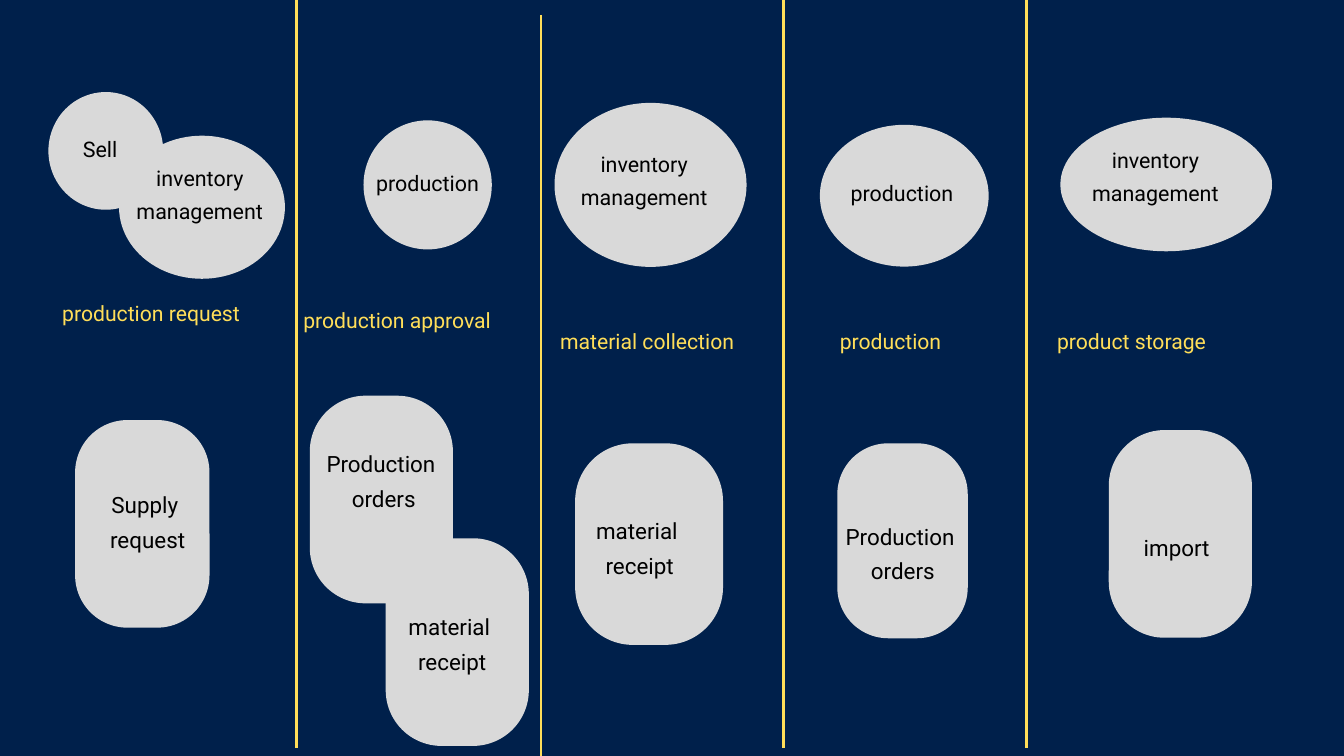
from pptx import Presentation
from pptx import util as u
from pptx.dml.color import RGBColor
from pptx.enum import shapes, text
from pptx.oxml.ns import qn
from lxml import etree

Cm, Pt = u.Cm, u.Pt
NAVY = RGBColor(0x00, 0x20, 0x4B)
GREY = RGBColor(0xD9, 0xD9, 0xD9)
BLACK = RGBColor(0, 0, 0)
GOLD = RGBColor(0xFF, 0xDE, 0x59)
OVAL = shapes.MSO_SHAPE.OVAL
ROUND = shapes.MSO_SHAPE.ROUNDED_RECTANGLE

deck = Presentation()
deck.slide_width, deck.slide_height = Cm(50.8), Cm(28.58)
slide = deck.slides.add_slide(deck.slide_layouts[6])
slide.background.fill.solid()
slide.background.fill.fore_color.rgb = NAVY


def write(words, box, size, lead, color, inset, anchor):
    frame = slide.shapes.add_textbox(*map(Cm, box)).text_frame
    frame.word_wrap = True
    frame.vertical_anchor = anchor
    frame.margin_left = frame.margin_right = Cm(inset)
    frame.margin_top = frame.margin_bottom = Cm(inset)
    frame.text = words
    for para in frame.paragraphs:
        para.alignment = text.PP_ALIGN.CENTER
        para.line_spacing = Pt(lead)
        for run in para.runs:
            run.font.name = "Roboto"
            run.font.size = Pt(size)
            run.font.color.rgb = color


def node(kind, body, words, box):
    shape = slide.shapes.add_shape(kind, *map(Cm, body))
    shape.shadow.inherit = False
    shape.fill.solid()
    shape.fill.fore_color.rgb = GREY
    shape.line.fill.background()
    if kind == ROUND:
        shape.adjustments[0] = 0.39
    size, lead = (23, 35.4) if kind == OVAL else (24, 37)
    write(words, box, size, lead, BLACK, 0.15, text.MSO_ANCHOR.MIDDLE)


# Column dividers
for x, top in ((11.2, 0), (20.45, 0.56), (29.62, 0), (38.81, 0)):
    rule = slide.shapes.add_connector(
        shapes.MSO_CONNECTOR.STRAIGHT, Cm(x), Cm(top), Cm(x), Cm(top + 28.27))
    rule.line.color.rgb = GOLD
    rule.line.width = Pt(3)
    etree.SubElement(rule._element.spPr, qn("a:effectLst"))

# Departments: outline, words, text area
for body, words, box in (
    ((1.83, 3.48, 4.34, 4.45), "Sell", (1.37, 3.48, 4.83, 4.04)),
    ((4.5, 5.13, 6.27, 5.41), "inventory management", (4.52, 4.78, 6.07, 4.9)),
    ((13.74, 4.55, 4.85, 4.88), "production", (13.23, 4.55, 5.87, 4.42)),
    ((20.96, 3.89, 7.26, 6.2), "inventory management", (21.39, 3.89, 5.92, 5.61)),
    ((30.99, 4.72, 6.38, 5.36), "production", (30.3, 4.72, 7.59, 4.85)),
    ((40.08, 4.45, 8, 5.05), "inventory management", (40.41, 4.22, 6.53, 4.6)),
):
    node(OVAL, body, words, box)

# Stage names
for words, x, y in (
    ("production request", 1.9, 11.07),
    ("production approval", 11.2, 11.35),
    ("material collection", 20.65, 12.14),
    ("production", 29.85, 12.14),
    ("product storage", 38.96, 12.14),
):
    write(words, (x, y, 7.62, 1.17), 22.7, 35, GOLD, 0, text.MSO_ANCHOR.TOP)

# Documents: outline, words, text area
for body, words, box in (
    ((2.84, 15.88, 5.08, 7.85), "Supply\n request", (1.5, 14.96, 7.95, 9.27)),
    ((11.71, 14.96, 5.41, 7.85), "Production\n orders", (10.16, 13.41, 8.48, 9.27)),
    ((14.58, 20.35, 5.41, 7.85), "material \nreceipt", (12.85, 19.56, 8.48, 9.27)),
    ((21.74, 16.76, 5.59, 7.62), "material \nreceipt", (20.47, 16.08, 7.42, 8.97)),
    ((31.65, 16.76, 4.93, 7.37), "Production\n orders", (31.29, 17.22, 5.46, 7.14)),
    ((41.91, 16.26, 5.41, 7.85), "import", (41.91, 16.41, 5.13, 8.31)),
):
    node(ROUND, body, words, box)

deck.save("out.pptx")
